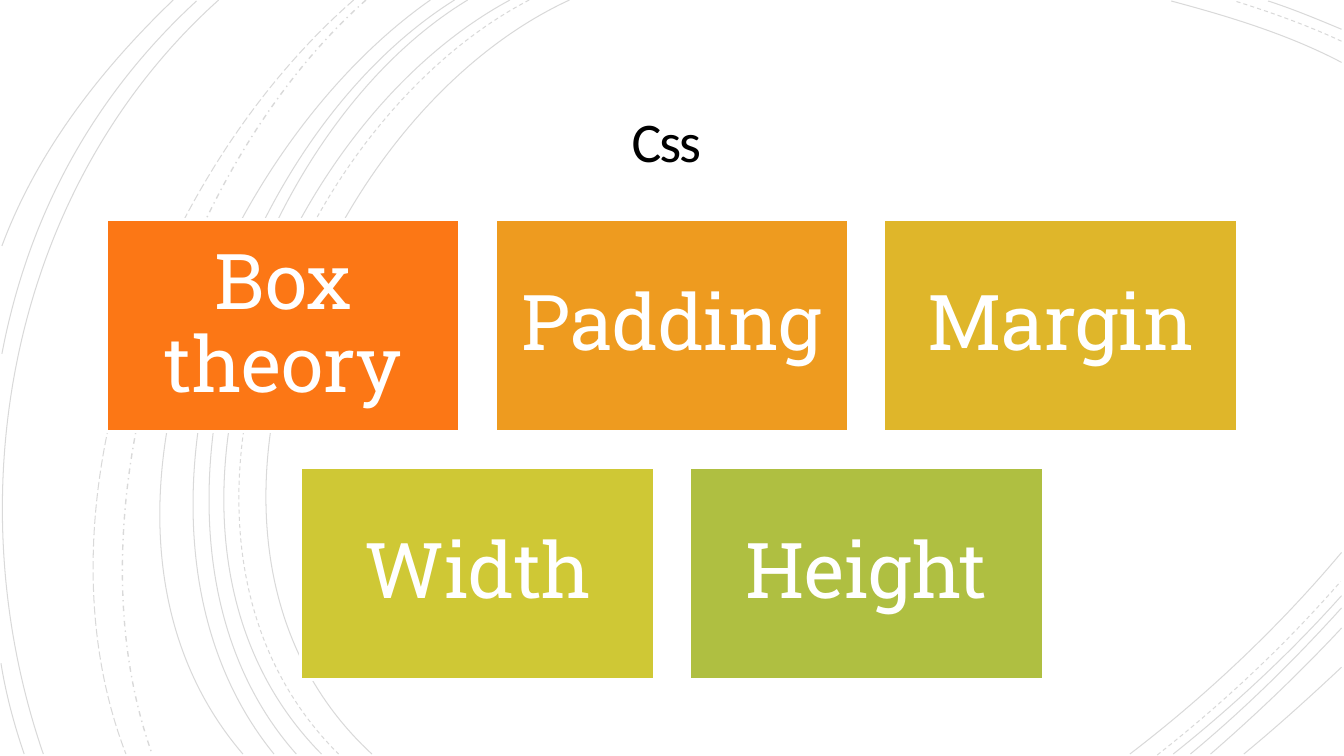
import dataclasses
import typing

import pptx
import pptx.dml.color
import pptx.enum.dml
import pptx.enum.shapes
import pptx.enum.text
import pptx.oxml
import pptx.oxml.ns
import pptx.util

Pt = pptx.util.Pt
Dash = pptx.enum.dml.MSO_LINE
Point = typing.Tuple[float, float]

HUES = {
    "white": "FFFFFF", "black": "000000", "orange": "FC7715", "amber": "EE9B1F",
    "gold": "DFB62A", "lime": "CFC835", "green": "AFBF41",
}
WIDE, HIGH = 960, 540
CARD_W, CARD_H, GAP, TOP = 252.5, 151.5, 25.25, 157


@dataclasses.dataclass
class Arc:
    """A cubic curve: start, two control points and end."""
    start: Point
    bend: Point
    pull: Point
    end: Point
    dash: typing.Any = Dash.SOLID
    width: float = 0.75


@dataclasses.dataclass
class Card:
    """A coloured box with one topic."""
    text: str
    hue: str


ARCS = [
    # Long sweeps on the left
    Arc((406.8, 0), (226.8, 82.8), (103, 388.8), (265.7, 538.6)),
    Arc((378, 0), (205.2, 90), (88.6, 386.6), (241.9, 538.6), Dash.DASH),
    Arc((364.3, 0), (194.4, 91.4), (79.2, 386.6), (229.7, 538.6)),
    Arc((334.1, 0), (175.7, 95.8), (79.2, 389.5), (211.7, 538.6)),
    Arc((324.7, 0), (166.3, 99.4), (69.8, 383.8), (195.8, 538.6)),
    Arc((307.4, 0), (156.2, 105.8), (38.2, 380.9), (173.5, 538.6)),
    Arc((261.4, 0), (126.7, 119.5), (46.8, 366.5), (108.7, 538.6), Dash.DASH_DOT, 1),
    Arc((252.7, 0), (113, 121.7), (20.9, 359.3), (90, 538.6), Dash.LONG_DASH),
    Arc((156.2, 0), (7.9, 133.2), (-33.1, 352.8), (31, 538.6)),
    # Short ends at the left edge
    Arc((140.4, 0.7), (66.2, 69.1), (20.2, 154.1), (1.4, 252.7)),
    Arc((0.7, 473.8), (4.3, 496.1), (10.1, 517.7), (17.3, 538.6)),
    Arc((123.8, 0), (72, 49.7), (26.6, 108), (1.4, 175.7)),
    # Top right corner
    Arc((958.3, 44.6), (920.2, 24.5), (877, 11.5), (836.6, 0.7)),
    Arc((958.3, 29.5), (933.8, 18), (907.2, 8.6), (882, 0.7), Dash.DASH),
    Arc((958.3, 20.9), (941, 13.7), (923.8, 6.5), (905.8, 0.7)),
    # Bottom right corner
    Arc((807.1, 538.6), (861.8, 496.8), (913.7, 447.8), (958.3, 394.6)),
    Arc((826.6, 539.3), (873.4, 502.6), (918, 460.8), (957.6, 415.4), Dash.DASH),
    Arc((838.1, 538.6), (880.6, 504.7), (921.6, 466.6), (958.3, 425.5)),
    Arc((850.3, 538.6), (888.5, 506.9), (924.5, 471.6), (958.3, 434.2)),
    Arc((864.7, 538.6), (897.1, 510.5), (928.8, 480.2), (958.3, 448.6)),
    Arc((888.5, 538.6), (912.2, 519.1), (935.3, 498.2), (958.3, 476.6)),
]
ROWS = [
    [Card("Box theory", "orange"), Card("Padding", "amber"), Card("Margin", "gold")],
    [Card("Width", "lime"), Card("Height", "green")],
]


def tint(name: str) -> pptx.dml.color.RGBColor:
    """Look up a named colour."""
    return pptx.dml.color.RGBColor.from_string(HUES[name])


def node(tag: str, attrs: str = ""):
    """Make an empty drawing element."""
    return pptx.oxml.parse_xml(f'<a:{tag} {pptx.oxml.ns.nsdecls("a")} {attrs}/>')


def write(shape, text: str, *, font: str, size: float, hue: str,
          inset: float, lead: float, track: float = 0) -> None:
    """Put centred, wrapped text into a shape."""
    frame = shape.text_frame
    frame.word_wrap = True
    frame.vertical_anchor = pptx.enum.text.MSO_ANCHOR.MIDDLE
    frame.margin_left = frame.margin_right = Pt(inset)
    frame.margin_top = frame.margin_bottom = Pt(inset)
    line = frame.paragraphs[0]
    line.alignment = pptx.enum.text.PP_ALIGN.CENTER
    line.line_spacing = lead
    run = line.add_run()
    run.text = text
    run.font.name, run.font.size = font, Pt(size)
    run.font.color.rgb = tint(hue)
    if track:
        run.font._element.set("spc", str(round(track * 100)))


def draw_arc(shapes, arc: Arc) -> None:
    """Draw a curve as a faint open line."""
    knots = [(Pt(x), Pt(y)) for x, y in (arc.start, arc.bend, arc.pull, arc.end)]
    pen = shapes.build_freeform(*knots[0])
    pen.add_line_segments(knots[1:], close=False)
    shape = pen.convert_to_shape()
    # Turn the three straight segments into one cubic curve
    legs = list(shape._element.iter(pptx.oxml.ns.qn("a:lnTo")))
    curve = node("cubicBezTo")
    legs[0].addprevious(curve)
    for leg in legs:
        curve.append(leg[0])
        leg.getparent().remove(leg)
    shape.shadow.inherit = False
    shape.fill.background()
    shape.line.width = Pt(arc.width)
    shape.line.color.rgb = tint("black")
    shape.line.dash_style = arc.dash
    ink = shape.line._ln.find(".//" + pptx.oxml.ns.qn("a:srgbClr"))
    ink.append(node("alpha", 'val="15000"'))


def draw_card(shapes, card: Card, x: float, y: float) -> None:
    """Draw one topic box."""
    kind = pptx.enum.shapes.MSO_SHAPE.RECTANGLE
    box = shapes.add_shape(kind, Pt(x), Pt(y), Pt(CARD_W), Pt(CARD_H))
    box.shadow.inherit = False
    box.fill.solid()
    box.fill.fore_color.rgb = tint(card.hue)
    box.line.color.rgb = tint("white")
    box.line.width = Pt(2)
    write(box, card.text, font="Roboto Slab", size=55, hue="white",
          inset=16.5, lead=0.9)


def main() -> None:
    """Build and save the slide."""
    deck = pptx.Presentation()
    deck.slide_width, deck.slide_height = Pt(WIDE), Pt(HIGH)
    slide = deck.slides.add_slide(deck.slide_layouts[6])
    slide.background.fill.solid()
    slide.background.fill.fore_color.rgb = tint("white")
    shapes = slide.shapes
    for arc in ARCS:
        draw_arc(shapes, arc)
    title = shapes.add_textbox(Pt(138), Pt(62.5), Pt(683.5), Pt(83))
    write(title, "Css\u00a0", font="Calibri", size=40, hue="black",
          inset=18, lead=0.85, track=-1.5)
    for r, row in enumerate(ROWS):
        left = (WIDE - len(row) * (CARD_W + GAP) + GAP) / 2
        for c, card in enumerate(row):
            draw_card(shapes, card, left + c * (CARD_W + GAP), TOP + r * (CARD_H + GAP))
    deck.save("out.pptx")


main()
